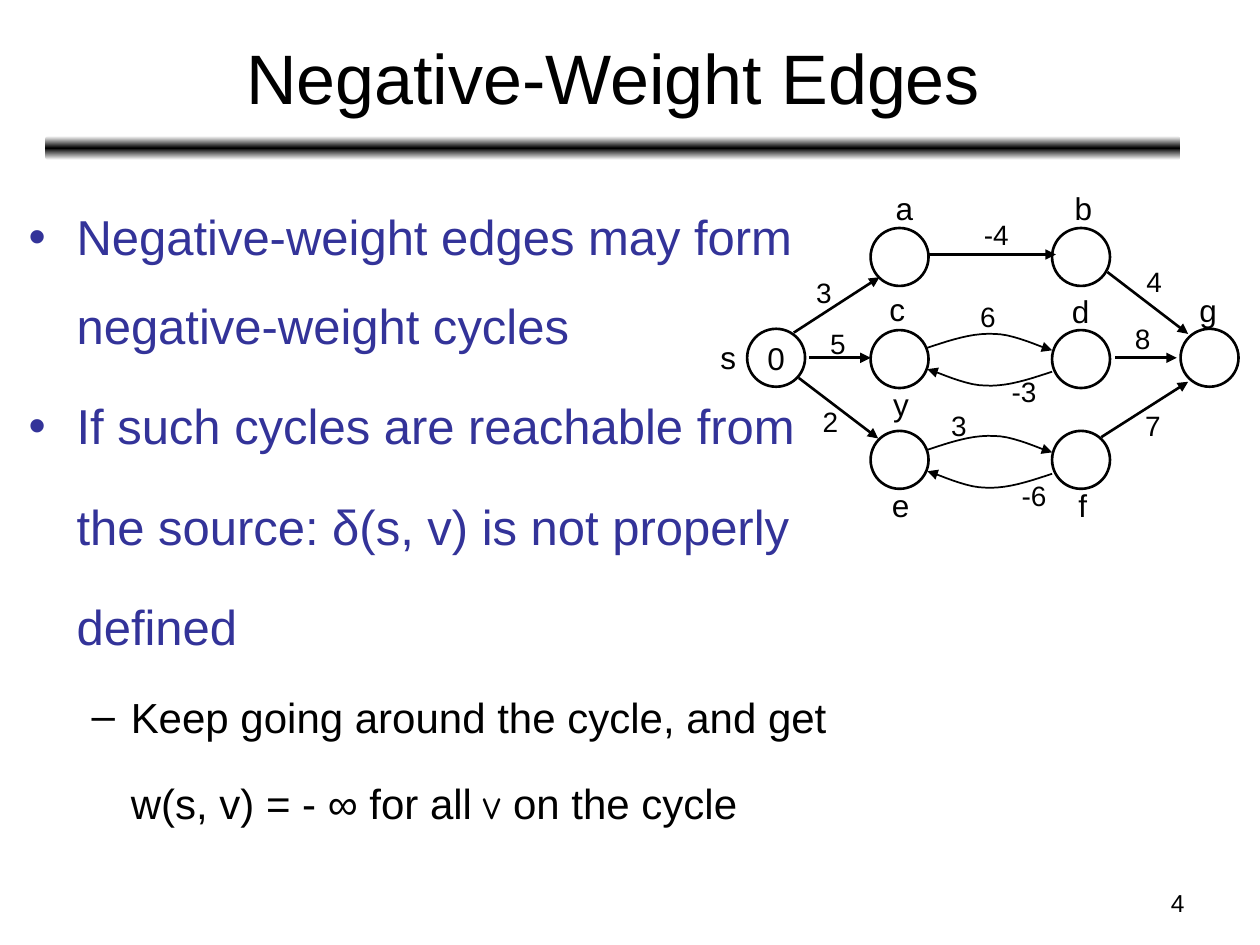
import copy

import pptx
import pptx.dml.color
import pptx.enum.shapes
import pptx.enum.text
import pptx.oxml
import pptx.oxml.ns
import pptx.util
from pptx.util import Inches

HUES = {"ink": "000000", "blue": "333399", "paper": "FFFFFF"}
FONT = "Arial"
ALIGN = pptx.enum.text.PP_ALIGN
SHAPE = pptx.enum.shapes.MSO_SHAPE
NODE = 0.46  # circle diameter


def hue(name):
    return pptx.dml.color.RGBColor.from_string(HUES[name])


def add_xml(parent, tag, **attrs):
    node = pptx.oxml.parse_xml(f"<a:{tag} {pptx.oxml.ns.nsdecls('a')}/>")
    for key, value in attrs.items():
        node.set(key, value)
    parent.append(node)
    return node


def style(para, size, color="ink", align=None):
    para.alignment = align
    for run in para.runs:
        run.font.size = pptx.util.Pt(size)
        run.font.name = FONT
        run.font.color.rgb = hue(color)


def add_text(slide, box, text, size, align=ALIGN.LEFT, wrap=True):
    frame = slide.shapes.add_textbox(*map(Inches, box)).text_frame
    frame.word_wrap = wrap
    frame.text = text
    style(frame.paragraphs[0], size, align=align)
    return frame


def draw_line(shape, width, arrow=False):
    shape.line.color.rgb = hue("ink")
    shape.line.width = pptx.util.Pt(width)
    if arrow:
        add_xml(shape.line._get_or_add_ln(), "tailEnd", type="triangle")


# Title and the shaded rule under it
def add_title(slide, box, text):
    x, y, w, h = box
    frame = add_text(slide, box, text, 40, ALIGN.CENTER)
    frame.vertical_anchor = pptx.enum.text.MSO_ANCHOR.MIDDLE
    rule = slide.shapes.add_shape(SHAPE.ROUNDED_RECTANGLE, Inches(x), Inches(y + 0.97),
                                  Inches(w), Inches(0.19))
    rule.shadow.inherit = False
    rule.line.fill.background()
    rule.fill.gradient()
    rule.fill.gradient_angle = 90
    stops = rule._element.spPr.find(".//" + pptx.oxml.ns.qn("a:gsLst"))
    stops.insert(1, copy.deepcopy(stops[0]))
    for stop, place, name in zip(rule.fill.gradient_stops, (0, 0.5, 1),
                                 ("paper", "ink", "paper")):
        stop.position = place
        stop.color.rgb = hue(name)


# Bulleted text: rows of (level, has bullet, runs)
def add_body(slide, box, rows):
    levels = [(0.38, 0.38, 28, 7, "•", "blue"), (0.81, 0.31, 24, 6, "–", "ink")]
    frame = slide.shapes.add_textbox(*map(Inches, box)).text_frame
    frame.word_wrap = True
    for i, (level, bullet, runs) in enumerate(rows):
        left, hang, size, gap, mark, color = levels[level]
        para = frame.add_paragraph() if i else frame.paragraphs[0]
        para.level = level
        para.line_spacing = 1.5
        para.space_before = pptx.util.Pt(gap)
        for text in runs:
            para.add_run().text = text
        style(para, size, color)
        props = para._p.get_or_add_pPr()
        props.set("marL", str(Inches(left)))
        props.set("indent", str(-Inches(hang) if bullet else 0))
        if bullet:
            tint = add_xml(props, "buClr")
            add_xml(tint, "srgbClr", val=HUES[color])
            add_xml(props, "buFont", typeface=FONT)
            add_xml(props, "buChar", char=mark)
    return frame


def bend(points, steps=10):
    """Points along a chain of cubic curves."""
    out = [points[0]]
    for k in range(0, len(points) - 1, 3):
        four = points[k:k + 4]
        for n in range(1, steps + 1):
            t = n / steps
            mix = ((1 - t) ** 3, 3 * t * (1 - t) ** 2, 3 * t * t * (1 - t), t ** 3)
            out.append(tuple(sum(m * p[axis] for m, p in zip(mix, four))
                             for axis in (0, 1)))
    return out


# Weighted graph, all places measured from the corner of its box
def add_graph(slide, box):
    left, top = box[:2]

    def spot(x, y):
        return Inches(left + x), Inches(top + y)

    # Nodes
    mid, cols, rows = 1.16, (1.29, 2.73), (0.36, 1.17, 1.97)
    places = [(0.31, mid), (3.75, mid)] + [(x, y) for y in rows for x in cols]
    for i, (x, y) in enumerate(places):
        ring = slide.shapes.add_shape(SHAPE.OVAL, *spot(x, y), Inches(NODE), Inches(NODE))
        ring.shadow.inherit = False
        ring.fill.background()
        draw_line(ring, 1.5)
        if i == 0:
            ring.text_frame.text = "0"
            ring.text_frame.word_wrap = False
            style(ring.text_frame.paragraphs[0], 18, align=ALIGN.CENTER)

    # Straight edges
    edges = [(1.75, 0.57, 2.76, 0.57), (0.68, 1.19, 1.36, 0.75), (0.72, 1.55, 1.35, 2.03),
             (3.17, 0.71, 3.81, 1.2), (3.12, 2.02, 3.81, 1.58),
             (0.8, 1.39, 1.29, 1.39), (3.23, 1.39, 3.72, 1.39)]
    for x1, y1, x2, y2 in edges:
        edge = slide.shapes.add_connector(pptx.enum.shapes.MSO_CONNECTOR.STRAIGHT,
                                          *spot(x1, y1), *spot(x2, y2))
        draw_line(edge, 1.5, True)
        add_xml(edge._element.spPr, "effectLst")

    # Curved edges: the way back is the way out turned by half a circle
    curve = bend([(0, 0), (0.18, -0.06), (0.36, -0.12), (0.53, -0.11),
                  (0.69, -0.11), (0.91, 0), (0.99, 0.02)])
    for y in (1.31, 2.12):
        for x, down, sign in ((1.74, 0, 1), (2.73, 0.19, -1)):
            trail = [spot(x + sign * dx, y + down + sign * dy) for dx, dy in curve]
            pen = slide.shapes.build_freeform(*trail[0])
            pen.add_line_segments(trail[1:], close=False)
            arc = pen.convert_to_shape()
            arc.shadow.inherit = False
            arc.fill.background()
            draw_line(arc, 1, True)

    # Node names and edge weights, in boxes wide enough for a minus sign
    names = [("s", 0, 1.18), ("a", 1.39, 0), ("b", 2.81, 0), ("c", 1.34, 0.8),
             ("d", 2.79, 0.82), ("e", 1.36, 2.36), ("f", 2.84, 2.36),
             ("g", 3.8, 0.81), ("y", 1.37, 1.56)]
    loads = [("3", 0.76, 0.69), ("-4", 2.09, 0.23), ("2", 0.81, 1.71), ("8", 3.29, 1.05),
             ("-6", 2.39, 2.3), ("-3", 2.31, 1.47), ("3", 1.83, 1.74), ("5", 0.87, 1.09),
             ("6", 2.06, 0.88), ("4", 3.38, 0.6), ("7", 3.37, 1.74)]
    for size, high, group in ((18, 0.4, names), (16, 0.37, loads)):
        for text, x, y in group:
            wide = 0.24 + 0.09 * len(text)
            add_text(slide, (left + x, top + y, wide, high), text, size, wrap=False)


def main():
    deck = pptx.Presentation()
    deck.slide_width, deck.slide_height = Inches(10), Inches(7.5)
    slide = deck.slides.add_slide(deck.slide_layouts[6])
    add_title(slide, (0.36, 0.11, 9.01, 0.99), "Negative-Weight Edges")
    add_text(slide, (7.17, 7, 2.33, 0.35), "4", 14, ALIGN.RIGHT)
    body = add_body(slide, (0.13, 1.36, 7.84, 5.55), [
        (0, True, ["Negative-weight edges may form negative-weight cycles"]),
        (0, True, ["If such cycles are reachable from"]),
        (0, False, ["the source: δ(s, v) is not properly"]),
        (0, False, ["defined"]),
        (1, True, ["Keep going around the cycle, and get"]),
        (1, False, ["w(s, v) = - ∞ for all ", "v", " on the cycle"]),
    ])
    body.paragraphs[-1].runs[1].font.name = "Comic Neue"
    add_graph(slide, (5.62, 1.45, 4.21, 2.76))
    deck.save("out.pptx")


if __name__ == "__main__":
    main()
